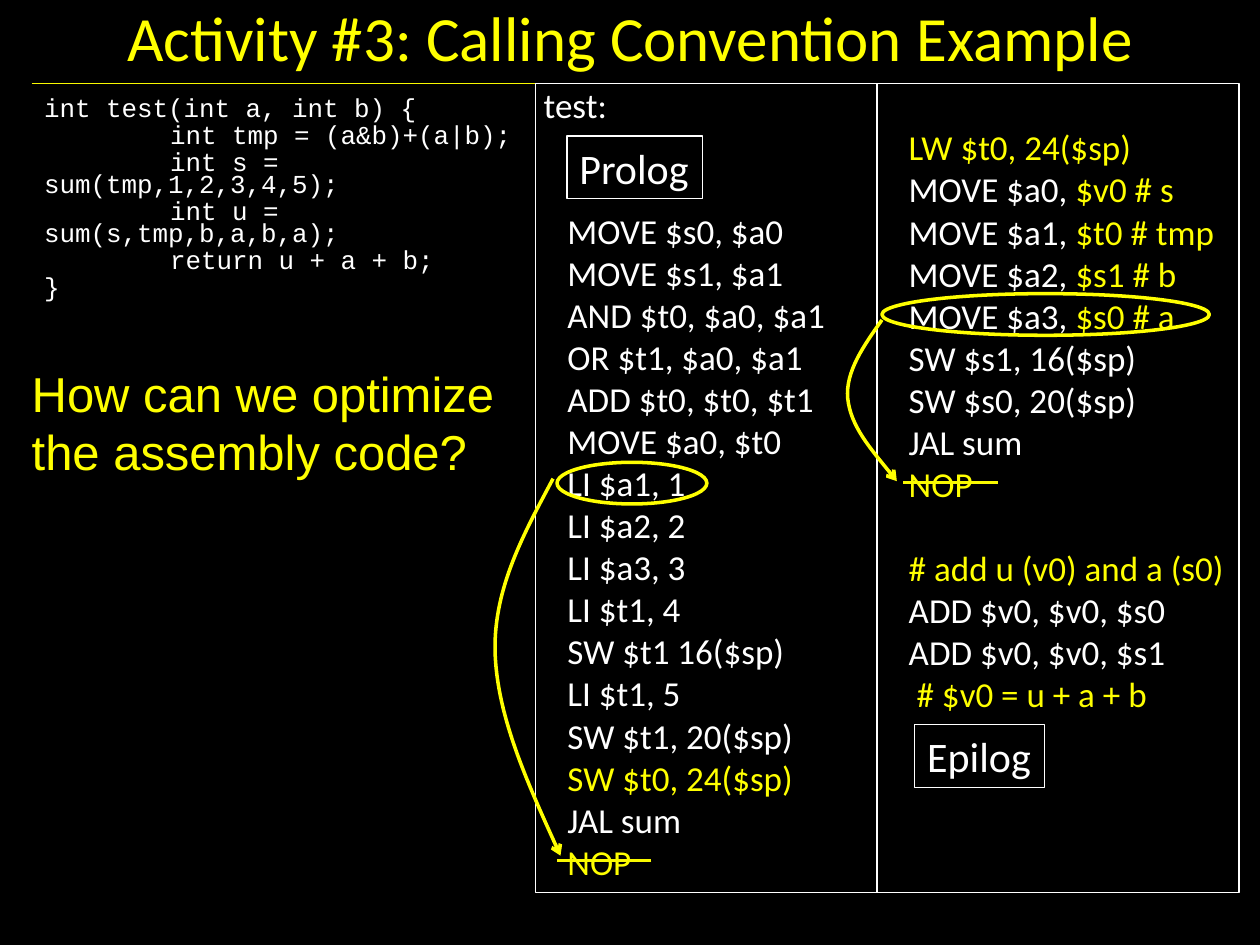
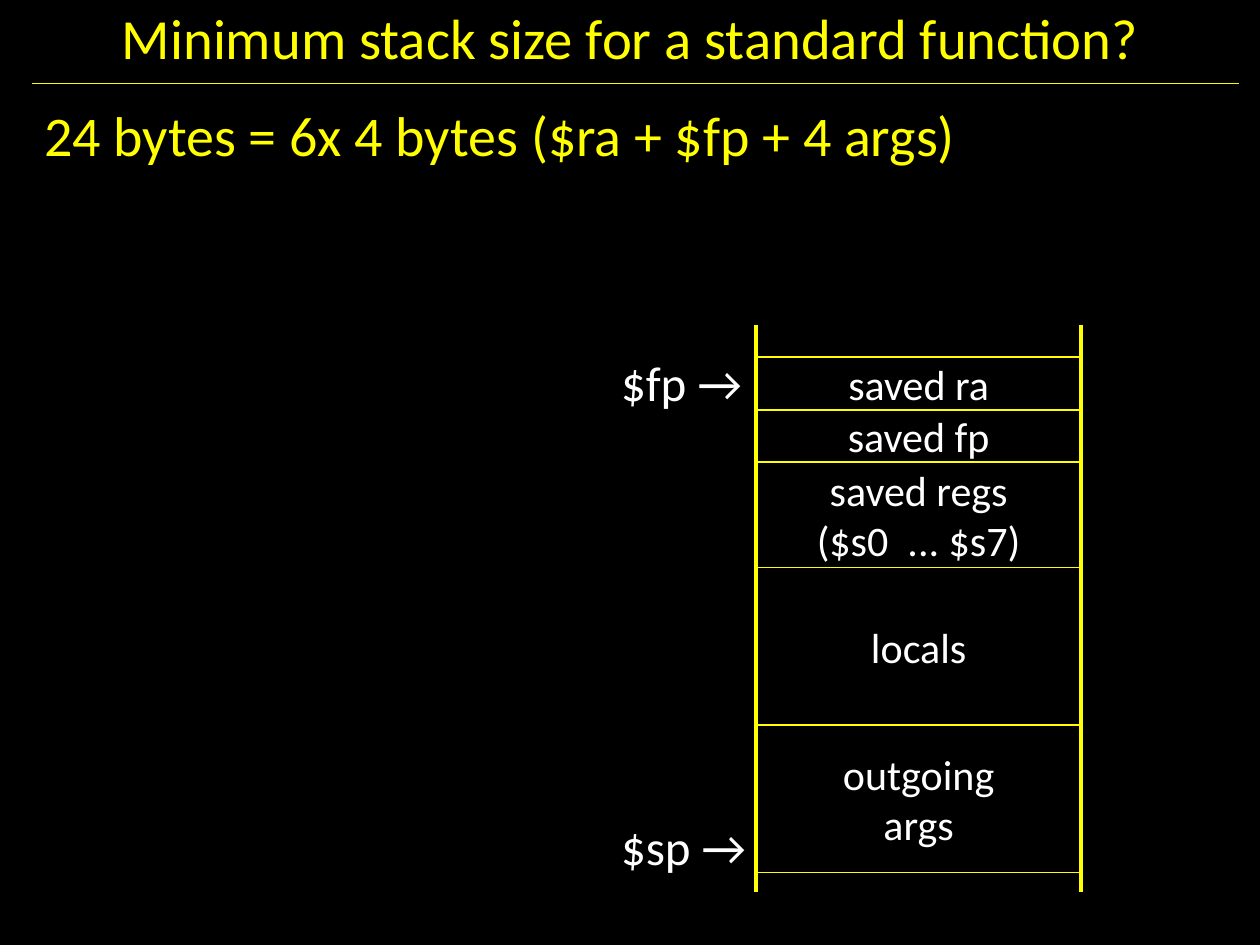
from lxml import etree
from pptx import Presentation
from pptx.dml.color import RGBColor
from pptx.enum.shapes import MSO_CONNECTOR, MSO_SHAPE
from pptx.enum.text import MSO_ANCHOR, PP_ALIGN
from pptx.oxml.ns import qn
from pptx.util import Cm, Pt

BLACK = RGBColor(0, 0, 0)
WHITE = RGBColor(255, 255, 255)
YELLOW = RGBColor(255, 255, 0)
GOLD = RGBColor(0xF9, 0xF9, 0)
RECT, OVAL = MSO_SHAPE.RECTANGLE, MSO_SHAPE.OVAL
STRAIGHT = MSO_CONNECTOR.STRAIGHT
TOP, MIDDLE = MSO_ANCHOR.TOP, MSO_ANCHOR.MIDDLE
LEFT, CENTER = PP_ALIGN.LEFT, PP_ALIGN.CENTER
SANS, PLAIN, MONO = "Calibri", "Arial", "Courier New"
EDGE, RULE, END = 0.64, 1.69, 24.98
INDENT = 0.64


class Deck:
    """Holds the shared style and the slide being built."""

    def __init__(self):
        self.prs = Presentation()
        self.prs.slide_width, self.prs.slide_height = Cm(25.4), Cm(19.05)

    def start(self, title, size):
        self.slide = self.prs.slides.add_slide(self.prs.slide_layouts[6])
        fill = self.slide.background.fill
        fill.solid()
        fill.fore_color.rgb = BLACK
        self.line(EDGE, RULE, END, RULE, GOLD, 0.75)
        self.text((EDGE, 0, 24.13, 1.48), [title], size, YELLOW,
                  align=CENTER, anchor=MIDDLE)

    def label(self, shape, lines, size, color=WHITE, font=SANS, align=LEFT,
              anchor=TOP, wrap=True, inset=None):
        frame = shape.text_frame
        frame.word_wrap = wrap
        frame.vertical_anchor = anchor
        if inset is not None:
            frame.margin_left = frame.margin_right = frame.margin_bottom = 0
            frame.margin_top = Cm(inset)
        for i, line in enumerate(lines):
            para = frame.paragraphs[0] if i == 0 else frame.add_paragraph()
            para.alignment = align
            para.font.name, para.font.size = font, Pt(size)
            plain, mark, bright = line.partition("~")
            if plain and bright:
                for part, tone in ((plain, color), (bright, YELLOW)):
                    run = para.add_run()
                    run.text, run.font.color.rgb = part, tone
            else:
                para.text = plain or bright
                para.font.color.rgb = YELLOW if mark else color
        return frame.paragraphs

    def text(self, box, lines, size, color=WHITE, **style):
        shape = self.slide.shapes.add_textbox(*map(Cm, box))
        return self.label(shape, lines, size, color, **style)

    def shape(self, box, color, width, kind=RECT):
        shape = self.slide.shapes.add_shape(kind, *map(Cm, box))
        self.draw(shape, color, width)
        return shape

    def draw(self, shape, color, width):
        shape.shadow.inherit = False
        shape.fill.background()
        shape.line.color.rgb, shape.line.width = color, Pt(width)

    def line(self, x1, y1, x2, y2, color, width):
        line = self.slide.shapes.add_connector(
            STRAIGHT, *map(Cm, (x1, y1, x2, y2)))
        line.line.color.rgb, line.line.width = color, Pt(width)
        etree.SubElement(line.element.spPr, qn("a:effectLst"))

    def curve(self, points):
        first, *rest = [(Cm(x), Cm(y)) for x, y in points]
        form = self.slide.shapes.build_freeform(*first)
        form.add_line_segments(rest, close=False)
        shape = form.convert_to_shape()
        self.draw(shape, YELLOW, 2)
        track = shape.element.find(".//" + qn("a:path"))
        steps = track.findall(qn("a:lnTo"))
        for i in range(0, len(steps), 3):
            bend = etree.SubElement(track, qn("a:cubicBezTo"))
            for step in steps[i:i + 3]:
                bend.append(step[0])
                track.remove(step)
        edge = shape.element.spPr.find(qn("a:ln"))
        etree.SubElement(edge, qn("a:tailEnd"), type="arrow")

    def code(self, box, lines, inset=0):
        paras = self.label(self.shape(box, WHITE, 0.75), lines, 20,
                           inset=inset)
        for para in paras:
            self.indent(para, "marL", INDENT)
        return paras

    def indent(self, para, key, size):
        para._p.get_or_add_pPr().set(key, str(int(Cm(size))))


deck = Deck()

deck.start("Activity #3: Calling Convention Example", 36)
source = deck.text((EDGE, 1.9, 10.16, 4.83), [
    "int test(int a, int b) {",
    "int tmp = (a&b)+(a|b);",
    "int s = sum(tmp,1,2,3,4,5);",
    "int u = sum(s,tmp,b,a,b,a);",
    "return u + a + b;",
    "}"], 14.8, font=MONO)
for para in source:
    para.line_spacing, para.space_before = 0.7, Pt(3)
for para in source[1:-1]:
    deck.indent(para, "indent", 2.54)

calls = deck.code((10.8, RULE, 6.88, 16.31), [
    "test:", "MOVE $s0, $a0", "MOVE $s1, $a1", "AND $t0, $a0, $a1",
    "OR $t1, $a0, $a1", "ADD $t0, $t0, $t1", "MOVE $a0, $t0", "LI $a1, 1",
    "LI $a2, 2", "LI $a3, 3", "LI $t1, 4", "SW $t1 16($sp)", "LI $t1, 5",
    "SW $t1, 20($sp)", "~SW $t0, 24($sp)", "JAL sum", "~NOP"])
deck.indent(calls[0], "marL", 0.16)
calls[1].space_before = Pt(48)
sums = deck.code((17.68, RULE, 7.3, 16.31), [
    "~LW $t0, 24($sp)", "MOVE $a0, ~$v0 # s", "MOVE $a1, ~$t0 # tmp",
    "MOVE $a2, ~$s1 # b", "MOVE $a3, ~$s0 # a", "SW $s1, 16($sp)",
    "SW $s0, 20($sp)", "JAL sum", "~NOP", "~# add u (v0) and a (s0)",
    "ADD $v0, $v0, $s0", "ADD $v0, $v0, $s1", "~# $v0 = u + a + b"], 0.85)
sums[9].space_before = Pt(24)
deck.indent(sums[-1], "marL", INDENT + 0.16)

for name, box in (("Prolog", (11.43, 2.74, 2.74, 1.27)),
                  ("Epilog", (18.44, 14.6, 2.62, 1.27))):
    deck.label(deck.shape(box, WHITE, 0.75), [name], 24, wrap=False)
deck.text((EDGE, 7.32, 10.6, 12.07),
          ["How can we optimize", "the assembly code?"], 28, YELLOW,
          font=PLAIN, wrap=False, inset=0)

for box in ((11.23, 9.32, 3.02, 0.84), (17.78, 5.92, 6.6, 0.84)):
    deck.shape(box, YELLOW, 2, OVAL)
deck.curve([(11.15, 9.65), (10.57, 10.74), (9.96, 11.84), (9.98, 13.11),
            (10.01, 14.38), (10.64, 15.8), (11.3, 17.25)])
deck.curve([(17.78, 6.45), (17.42, 6.96), (17.04, 7.49), (17.09, 8.03),
            (17.15, 8.59), (17.63, 9.14), (18.08, 9.7)])
for x, y in ((11.23, 17.35), (18.21, 9.73)):
    deck.line(x + 1.9, y, x, y, GOLD, 2)

deck.start("Minimum stack size for a standard function?", 32.4)
answer = deck.text((EDGE, 1.9, 24.13, 15.67),
                   ["24 bytes = 6x 4 bytes ($ra + $fp + 4 args)"], 32, YELLOW)
answer[0].space_before = Pt(6.4)
STACK, WIDE, UNIT = 15.24, 6.56, 1.06
for x in (STACK, STACK + WIDE):
    deck.line(x, 6.55, x, 17.98, YELLOW, 2.25)
top = 7.2
for name, units in (("saved ra", 1), ("saved fp", 1),
                    ("saved regs\v($s0  ... $s7)", 2), ("locals", 3),
                    ("outgoing\vargs", 2.8)):
    cell = deck.shape((STACK, top, WIDE, units * UNIT), YELLOW, 1)
    deck.label(cell, [name], 24, align=CENTER, anchor=MIDDLE)
    top += units * UNIT
for name, y, width in (("$fp →", 6.99, 3.05), ("$sp →", 16.33, 3.15)):
    deck.text((12.27, y, width, 1.45), [name], 28, wrap=False)

deck.prs.save("out.pptx")
